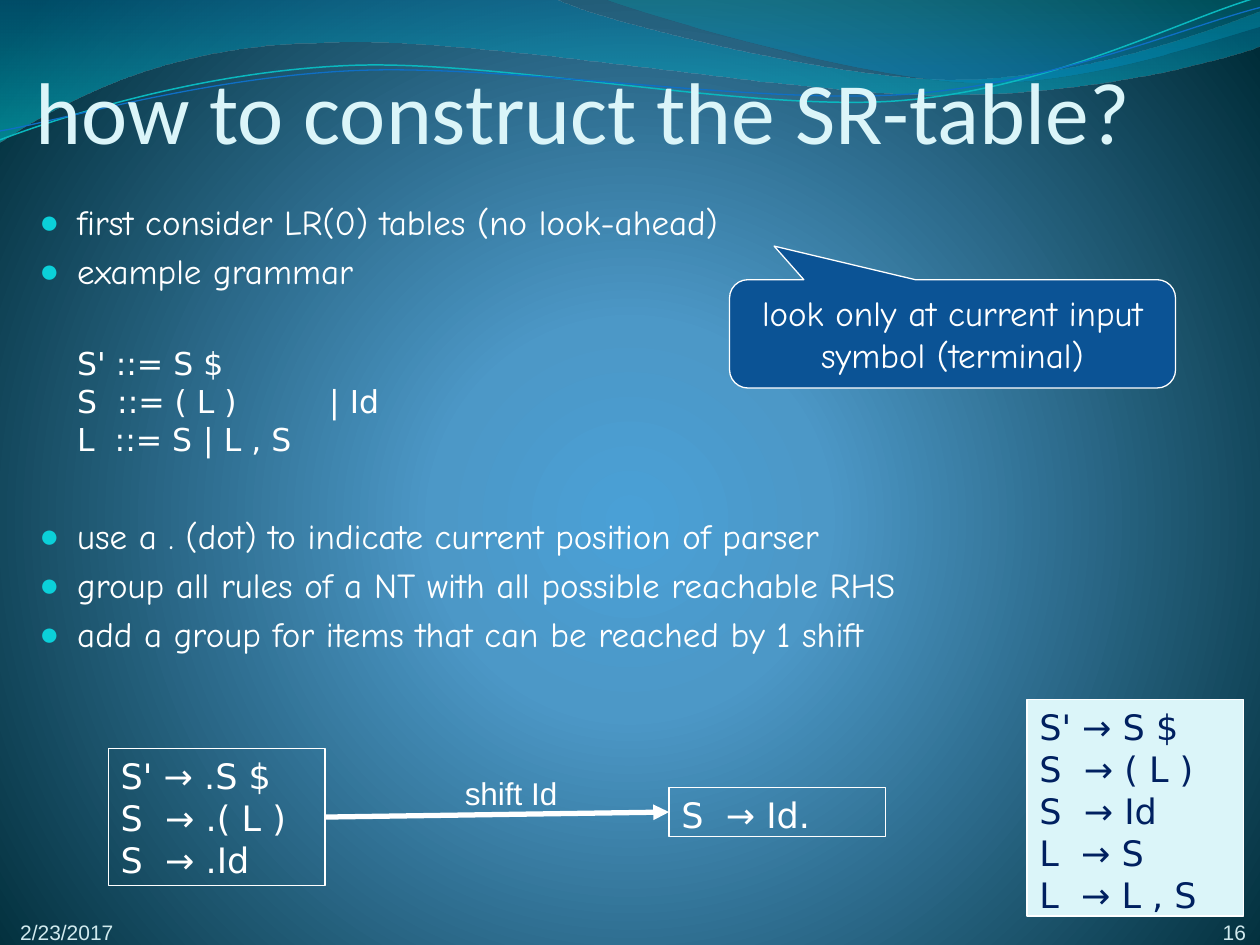
from dataclasses import dataclass
from math import cos, radians, sin

from lxml import etree
from pptx import Presentation
from pptx.dml.color import RGBColor
from pptx.enum.shapes import MSO_CONNECTOR, MSO_SHAPE
from pptx.enum.text import MSO_ANCHOR, PP_ALIGN
from pptx.oxml import parse_xml
from pptx.oxml.ns import nsdecls, qn
from pptx.util import Inches, Pt

TOP, MIDDLE, BOTTOM = MSO_ANCHOR.TOP, MSO_ANCHOR.MIDDLE, MSO_ANCHOR.BOTTOM
LEFT, CENTER, RIGHT = PP_ALIGN.LEFT, PP_ALIGN.CENTER, PP_ALIGN.RIGHT
RECTANGLE = MSO_SHAPE.RECTANGLE
CALLOUT = MSO_SHAPE.ROUNDED_RECTANGULAR_CALLOUT
STRAIGHT = MSO_CONNECTOR.STRAIGHT
LEFT_SIDE, RIGHT_SIDE = 1, 3
COLUMNS, ROWS = 100, 75
STRAND_TILT = 2.7


@dataclass(frozen=True)
class Theme:
    white: str = "FFFFFF"
    pale: str = "DBF5F9"
    footer: str = "D1EAEE"
    navy: str = "002060"
    callout: str = "0B5395"
    bullet: str = "0BD0D9"
    teal_line: str = "0AB8BF"
    blue_line: str = "0F6FC6"
    backdrop: tuple = ((0, "4AA0D6", 100), (25, "4C98C7", 100), (100, "002C38", 100))
    wide_wave: tuple = ((0, "0074A1", 45), (100, "00C6CF", 55))
    right_wave: tuple = ((0, "00A1A9", 30), (80, "008BBF", 45))
    heading: str = "Calibri"
    hand: str = "Comic Neue"
    code: str = "DejaVu Sans"
    plain: str = "Arial"
    title_size: int = 50
    text_size: int = 20
    small_size: int = 18
    footer_size: int = 12


THEME = Theme()
RADIAL = '<a:path path="circle"><a:fillToRect l="10000" t="110000" r="10000" b="100000"/></a:path>'
DOWNWARD = '<a:lin ang="5400000" scaled="1"/>'


def write(para, text, *, font=THEME.hand, size=THEME.text_size, color=THEME.white, align=LEFT,
          before=0, indent=0, bullet=False):
    properties = para._p.get_or_add_pPr()
    if indent:
        properties.set("marL", str(Inches(indent)))
        properties.set("indent", str(-Inches(indent) if bullet else 0))
        properties.set("defTabSz", str(Inches(1)))
    if bullet:
        paint = etree.SubElement(properties, qn("a:buClr"))
        etree.SubElement(paint, qn("a:srgbClr"), val=THEME.bullet)
        etree.SubElement(properties, qn("a:buSzPct"), val="95000")
        etree.SubElement(properties, qn("a:buFont"), typeface=THEME.plain)
        etree.SubElement(properties, qn("a:buChar"), char="●")
    para.alignment = align
    if before:
        para.space_before = Pt(before)
    span = para.add_run()
    span.text = text
    span.font.name = font
    span.font.size = Pt(size)
    span.font.color.rgb = RGBColor.from_string(color)


def gradient(stops, direction):
    marks = "".join(
        f'<a:gs pos="{place * 1000}"><a:srgbClr val="{color}">'
        f'<a:alpha val="{opacity * 1000}"/></a:srgbClr></a:gs>'
        for place, color, opacity in stops)
    return parse_xml(f'<a:gradFill {nsdecls("a")} rotWithShape="1">'
                     f'<a:gsLst>{marks}</a:gsLst>{direction}</a:gradFill>')


def turned(segment, pivot, degrees):
    angle = radians(degrees)
    turned_values = []
    for x, y in zip(segment[::2], segment[1::2]):
        across, down = x - pivot[0], y - pivot[1]
        turned_values += [pivot[0] + across * cos(angle) - down * sin(angle),
                          pivot[1] + across * sin(angle) + down * cos(angle)]
    return turned_values


class Slide:
    def __init__(self, deck, theme):
        self.theme = theme
        self.column = deck.slide_width / COLUMNS
        self.row = deck.slide_height / ROWS
        self.page = deck.slides.add_slide(deck.slide_layouts[6])

    def place(self, *cells):
        return [round(cell * (self.row if index % 2 else self.column))
                for index, cell in enumerate(cells)]

    def backdrop(self):
        self.page.background.fill.solid()
        solid = self.page.element.xpath(".//p:bgPr/a:solidFill")[0]
        solid.getparent().replace(solid, gradient(self.theme.backdrop, RADIAL))

    def outline(self, segments, closed):
        start, *rest = [self.place(*segment) for segment in segments]
        builder = self.page.shapes.build_freeform(*start, scale=1.0)
        builder.add_line_segments([segment[-2:] for segment in rest], close=closed)
        shape = builder.convert_to_shape()
        shape.shadow.inherit = False
        shape.fill.background()
        for segment, straight in zip(rest, shape._element.xpath(".//a:lnTo")):
            if len(segment) == 6:
                bend = etree.Element(qn("a:cubicBezTo"))
                for x, y in zip(segment[::2], segment[1::2]):
                    etree.SubElement(bend, qn("a:pt"), x=str(x - shape.left), y=str(y - shape.top))
                straight.getparent().replace(straight, bend)
        return shape

    def wave(self, segments, stops):
        shape = self.outline(segments, True)
        shape.line.fill.background()
        empty = shape._element.spPr.find(qn("a:noFill"))
        empty.getparent().replace(empty, gradient(stops, DOWNWARD))

    def strand(self, segments, pivot, color, width):
        level = [turned(segment, pivot, STRAND_TILT) for segment in segments]
        shape = self.outline(level, False)
        shape.rotation = -STRAND_TILT
        self.stroke(shape.line, color, width)

    def stroke(self, line, color, width=0.75):
        line.color.rgb = RGBColor.from_string(color)
        line.width = Pt(width)

    def fill_text(self, shape, lines, anchor, margins, wrap=True, **style):
        frame = shape.text_frame
        frame.word_wrap = wrap
        frame.vertical_anchor = anchor
        (frame.margin_left, frame.margin_top,
         frame.margin_right, frame.margin_bottom) = [Inches(margin) for margin in margins]
        for index, line in enumerate(lines):
            para = frame.paragraphs[0] if index == 0 else frame.add_paragraph()
            text, extra = line if isinstance(line, tuple) else (line, {})
            write(para, text, **{**style, **extra})

    def text(self, cells, lines, anchor=TOP, margins=(0.1, 0.05, 0.1, 0.05), **style):
        box = self.page.shapes.add_textbox(*self.place(*cells))
        self.fill_text(box, lines, anchor, margins, **style)

    def panel(self, cells, lines, fill=None, kind=RECTANGLE, anchor=TOP, adjust=(), **style):
        shape = self.page.shapes.add_shape(kind, *self.place(*cells))
        shape.shadow.inherit = False
        for index, value in enumerate(adjust):
            shape.adjustments[index] = value
        if fill:
            shape.fill.solid()
            shape.fill.fore_color.rgb = RGBColor.from_string(fill)
        else:
            shape.fill.background()
        self.stroke(shape.line, self.theme.white)
        self.fill_text(shape, lines, anchor, (0.1, 0.05, 0.1, 0.05), **style)
        return shape

    def arrow(self, source, target):
        link = self.page.shapes.add_connector(STRAIGHT, 0, 0, 0, 0)
        link.begin_connect(source, RIGHT_SIDE)
        link.end_connect(target, LEFT_SIDE)
        self.stroke(link.line, self.theme.white, 3)
        etree.SubElement(link.line._get_or_add_ln(), qn("a:tailEnd"), type="triangle")
        etree.SubElement(link._element.spPr, qn("a:effectLst"))


def main():
    deck = Presentation()
    deck.slide_width, deck.slide_height = Inches(10), Inches(7.5)
    slide = Slide(deck, THEME)
    slide.backdrop()
    slide.wave([(0, -0.1), (44, -0.1), (47.6, 1.7, 66.4, 6.3, 75.8, 6.3),
                (85.3, 6.3, 95.8, 2.6, 100, 0.9), (100.1, 3.6),
                (98.3, 4.4, 87, 7.6, 74.6, 7.5), (62.2, 7.5, 38.2, 2.8, 25.7, 3.4),
                (12.9, 3.5, 4.6, 8.3, -0.1, 11.3)], THEME.wide_wave)
    slide.wave([(47.9, -0.1), (50.9, 1.1, 68.2, 6.2, 76.9, 6.5),
                (85.6, 6.9, 96.1, 3.2, 100, 2.1), (100, 0)], THEME.right_wave)
    slide.strand([(0, 11.1), (4.8, 9.3, 15.8, 5.7, 27.7, 5.2), (39.5, 4.7, 59.3, 8.9, 71.3, 8),
                  (83.3, 7.1, 93.8, 1.5, 99.8, -0.2)], (49.9, 5.75), THEME.teal_line, 0.85)
    slide.strand([(0, 10.4), (4.7, 9.6, 16.4, 6.1, 28.3, 5.6), (40.3, 5.1, 59.7, 8.3, 71.7, 7.5),
                  (83.6, 6.7, 94.1, 2.1, 100, 0.6)], (50, 5.9), THEME.blue_line, 0.75)

    slide.text((2.8, 2.2, 92.7, 12.5), ["how to construct the SR-table?"], MIDDLE, (0, 0.05, 0, 0),
               font=THEME.heading, size=THEME.title_size, color=THEME.pale)
    point = {"bullet": True, "before": 4}
    grammar = {"font": THEME.code, "size": THEME.small_size}
    slide.text((2.15, 15.45, 92.7, 51.6), [
        ("first consider LR(0) tables (no look-ahead)", {"bullet": True}),
        ("example grammar", point),
        ("S' ::= S $", {**grammar, "before": 30}),
        ("S  ::= ( L ) \t| Id", grammar),
        ("L  ::= S \t| L , S", grammar),
        ("use a . (dot) to indicate current position of parser", {**point, "before": 32.5}),
        ("group all rules of a NT with all possible reachable RHS", point),
        ("add a group for items that can be reached by 1 shift", point),
    ], indent=0.3)

    footer = {"anchor": BOTTOM, "margins": (0, 0, 0, 0), "font": THEME.plain,
              "size": THEME.footer_size, "color": THEME.footer}
    slide.text((1.6, 72.7, 14.8, 2.3), ["2/23/2017"], **footer)
    slide.text((90.6, 72.6, 8.3, 2.4), ["16"], align=RIGHT, **footer)

    start = slide.panel((8.6, 59.4, 17.2, 10.9), ["S' → .S $", "S  → .( L )", "S  → .Id"],
                        font=THEME.code)
    shifted = slide.panel((53.1, 62.5, 17.2, 3.9), ["S  → Id."], font=THEME.code)
    slide.arrow(start, shifted)
    slide.text((35.9, 60.9, 9.5, 4), ["shift Id"], wrap=False,
               font=THEME.plain, size=THEME.small_size)
    slide.panel((57.9, 22.2, 35.4, 8.6), ["look only at current input symbol (terminal)"],
                fill=THEME.callout, kind=CALLOUT, anchor=MIDDLE, adjust=(-0.4, -0.81, 0.17),
                align=CENTER)
    slide.panel((81.5, 55.5, 17.2, 17.2),
                ["S' → S $", "S  → ( L )", "S  → Id", "L  → S", "L  → L , S"],
                fill=THEME.pale, font=THEME.code, color=THEME.navy)
    deck.save("out.pptx")


if __name__ == "__main__":
    main()
